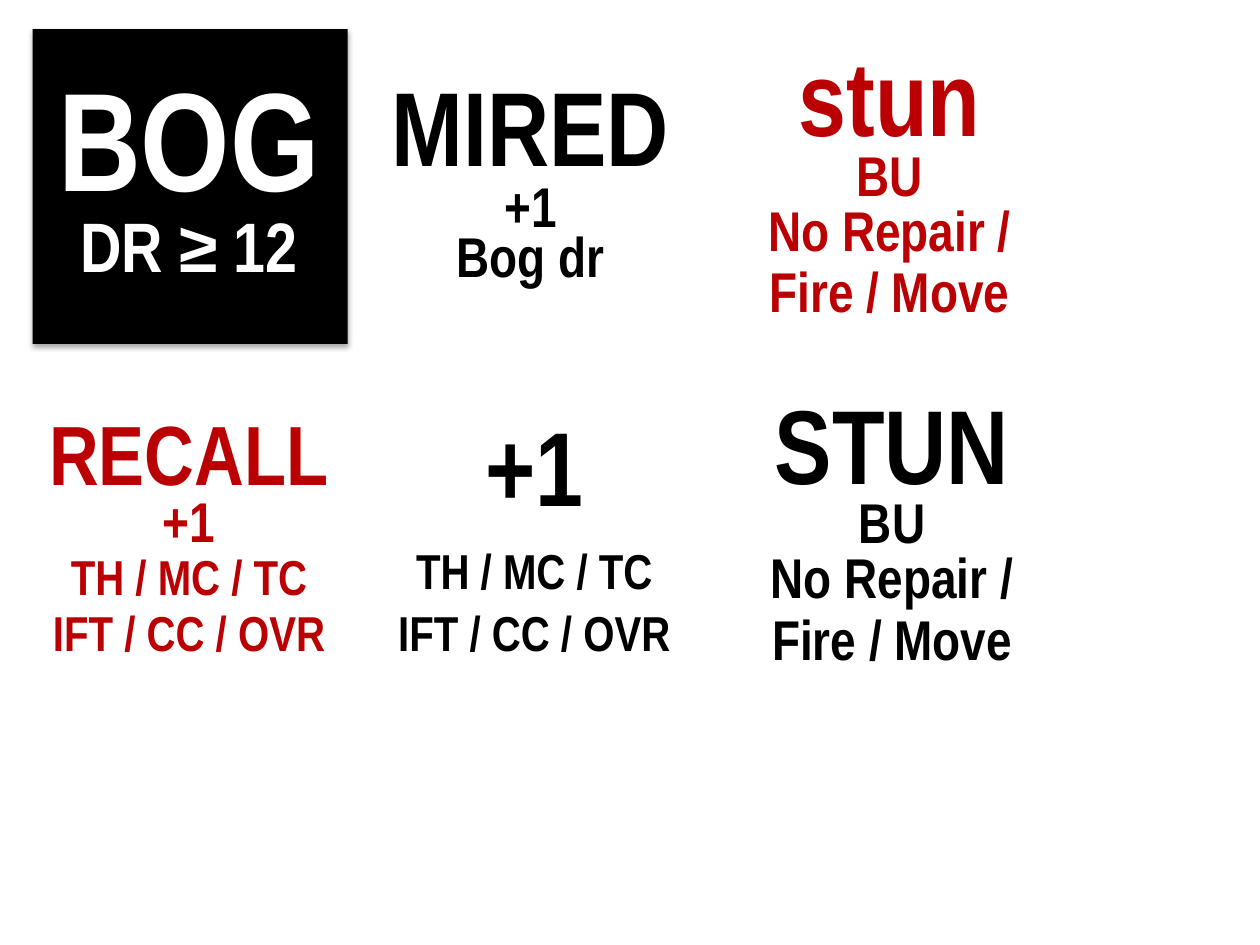
from typing import NamedTuple

from lxml.etree import SubElement
from pptx import Presentation
from pptx.dml.color import RGBColor
from pptx.enum.shapes import MSO_SHAPE as Shape
from pptx.enum.text import MSO_AUTO_SIZE as AutoSize, PP_ALIGN as Align
from pptx.oxml.ns import qn
from pptx.shapes.group import GroupShape
from pptx.slide import Slide
from pptx.util import Pt

BLACK = RGBColor(0x00, 0x00, 0x00)
WHITE = RGBColor(0xFF, 0xFF, 0xFF)
RED = RGBColor(0xBA, 0x00, 0x03)
SIDE = 180
CENTER_SHIFT = -0.7


class Line(NamedTuple):
    text: str
    size: int
    top: float
    width: float


class Counter(NamedTuple):
    left: float
    top: float
    fill: RGBColor
    ink: RGBColor
    lines: list[Line]
    shadow: bool = False


def stun_lines(title: str, width: float) -> list[Line]:
    return [
        Line(title, 60, -2.2, width),
        Line("BU", 32, 60, 52.6),
        Line("No Repair /", 32, 91.4, 154),
        Line("Fire / Move", 32, 126.4, 152.6),
    ]


def modifier_lines(top: float) -> list[Line]:
    return [
        Line("TH / MC / TC", 28, top, 151.2),
        Line("IFT / CC / OVR", 28, 126, 172),
    ]


COUNTERS = [
    Counter(18.7, 16.6, BLACK, WHITE, [
        Line("BOG", 80, 9.4, 165.6),
        Line("DR ≥ 12", 40, 95.8, 139.7),
    ], shadow=True),
    Counter(213.8, 16.6, WHITE, BLACK, [
        Line("MIRED", 60, 15.1, 174.2),
        Line("+1", 32, 77.8, 44.6),
        Line("Bog dr", 32, 106.6, 100),
    ]),
    Counter(419, 16.6, WHITE, RED, stun_lines("stun", 119.5)),
    Counter(18.7, 214.6, WHITE, RED, [
        Line("RECALL", 48, 11.5, 175),
        Line("+1", 32, 59.8, 44.6),
        *modifier_lines(94.3),
    ]),
    Counter(216, 214.6, WHITE, BLACK, [
        Line("+1", 60, 11.5, 71.3),
        *modifier_lines(90.7),
    ]),
    Counter(420.5, 215.3, WHITE, BLACK, stun_lines("STUN", 149.8)),
]


def add_shadow(sp) -> None:
    effects = sp._element.spPr.find(qn("a:effectLst"))
    shadow = SubElement(effects, qn("a:outerShdw"), {
        "blurRad": str(Pt(3.1)), "dist": str(Pt(1.8)),
        "dir": "5400000", "rotWithShape": "0",
    })
    color = SubElement(shadow, qn("a:srgbClr"), val=str(BLACK))
    SubElement(color, qn("a:alpha"), val="35000")


def add_line(group: GroupShape, counter: Counter, line: Line) -> None:
    left = counter.left + (SIDE - line.width) / 2 + CENTER_SHIFT
    height = 1.215 * line.size + 7.2
    sp = group.shapes.add_textbox(
        Pt(left), Pt(counter.top + line.top), Pt(line.width), Pt(height))
    tf = sp.text_frame
    tf.word_wrap = False
    tf.auto_size = AutoSize.SHAPE_TO_FIT_TEXT
    p = tf.paragraphs[0]
    p.alignment = Align.CENTER
    r = p.add_run()
    r.text = line.text
    formats = {"name": "Arial Narrow", "size": Pt(line.size), "bold": True}
    for key, value in formats.items():
        setattr(r.font, key, value)
    r.font.color.rgb = counter.ink


def add_counter(slide: Slide, counter: Counter) -> None:
    group = slide.shapes.add_group_shape()
    sp = group.shapes.add_shape(
        Shape.RECTANGLE, Pt(counter.left), Pt(counter.top), Pt(SIDE), Pt(SIDE))
    sp.fill.solid()
    sp.fill.fore_color.rgb = counter.fill
    sp.line.fill.background()
    sp.shadow.inherit = False
    if counter.shadow:
        add_shadow(sp)
    for line in counter.lines:
        add_line(group, counter, line)


def main() -> None:
    prs = Presentation()
    prs.slide_width, prs.slide_height = Pt(720), Pt(540)
    slide = prs.slides.add_slide(prs.slide_layouts[6])
    for counter in COUNTERS:
        add_counter(slide, counter)
    prs.save("out.pptx")


if __name__ == "__main__":
    main()
